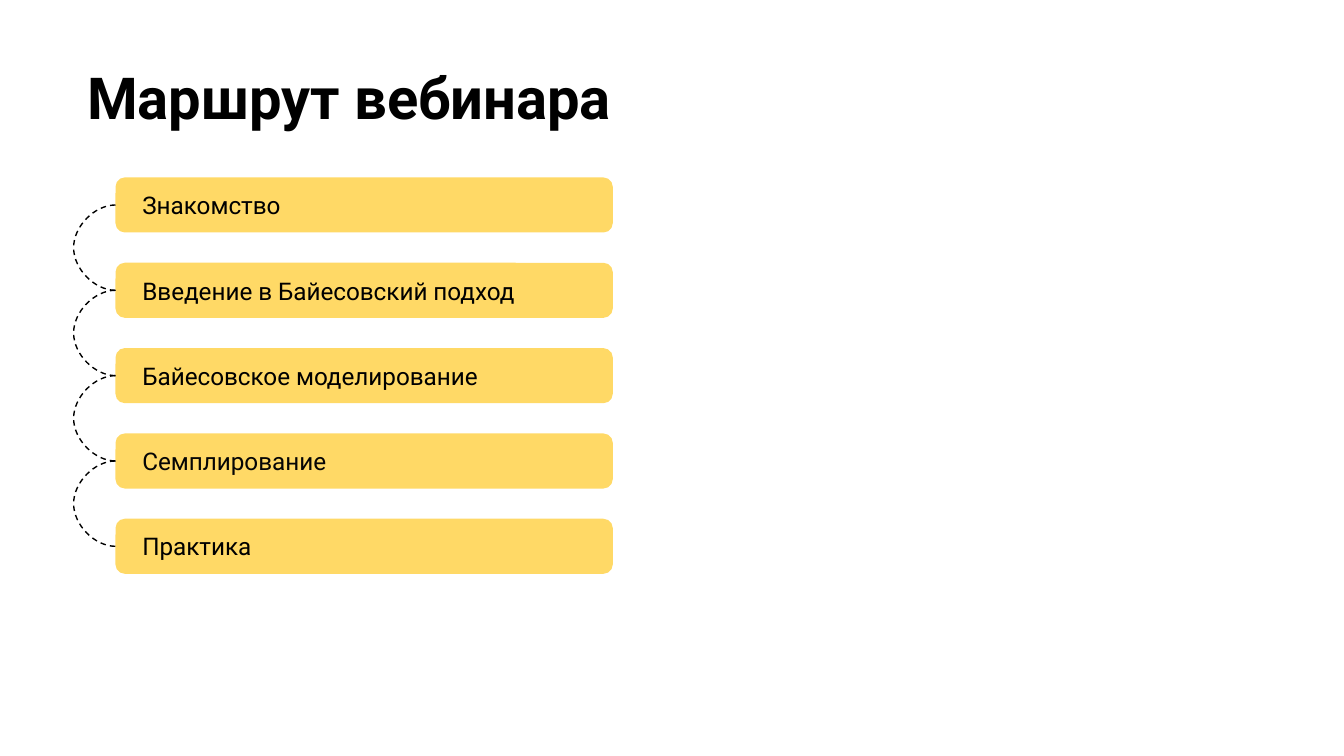
import itertools

import lxml.etree
import pptx
import pptx.dml.color
import pptx.enum.dml
import pptx.enum.shapes
import pptx.enum.text
import pptx.oxml.ns
import pptx.util

Inches = pptx.util.Inches
Color = pptx.dml.color.RGBColor.from_string
qn = pptx.oxml.ns.qn

THEME = {
    "font": "Roboto",
    "ink": "000000",
    "soft_ink": "050505",
    "bar": "FFD966",
    "title_size": 31,
    "step_size": 13,
    "line_width": 0.75,
}

STEPS = [
    ("Знакомство", "ink"),
    ("Введение в Байесовский подход", "ink"),
    ("Байесовское моделирование", "ink"),
    ("Семплирование", "soft_ink"),
    ("Практика", "ink"),
]

SLIDE_WIDTH = Inches(10)
COLUMN_LEFT, COLUMN_WIDTH = Inches(0.86), Inches(3.7)
FIRST_ROW, LAST_ROW, ROW_HEIGHT = Inches(1.32), Inches(3.86), Inches(0.41)
ROW_PITCH = (LAST_ROW - FIRST_ROW) // (len(STEPS) - 1)
ARC_DEPTH = Inches(0.26)
ARC_WIDTH = pptx.util.Emu(600)


def write(shape, text, size, color, side_inset, bold=False):
    frame = shape.text_frame
    frame.word_wrap = True
    frame.margin_left = frame.margin_right = Inches(side_inset)
    frame.margin_top = frame.margin_bottom = Inches(0.1)
    frame.text = text
    para = frame.paragraphs[0]
    para.alignment = pptx.enum.text.PP_ALIGN.LEFT
    font = para.runs[0].font
    font.name = THEME["font"]
    font.size = pptx.util.Pt(THEME[size])
    font.bold = bold
    font.color.rgb = Color(THEME[color])


deck = pptx.Presentation()
deck.slide_width = SLIDE_WIDTH
deck.slide_height = SLIDE_WIDTH * 9 // 16
page = deck.slides.add_slide(deck.slide_layouts[6])

title = page.shapes.add_textbox(Inches(0.55), Inches(0.36), Inches(9.32), Inches(1.2))
write(title, "Маршрут вебинара", "title_size", "ink", 0.1, bold=True)

bars = []
for row, (step, color) in enumerate(STEPS):
    bar = page.shapes.add_shape(
        pptx.enum.shapes.MSO_SHAPE.ROUNDED_RECTANGLE,
        COLUMN_LEFT,
        FIRST_ROW + row * ROW_PITCH,
        COLUMN_WIDTH,
        ROW_HEIGHT,
    )
    bar.adjustments[0] = 0.17
    bar.shadow.inherit = False
    bar.fill.solid()
    bar.fill.fore_color.rgb = Color(THEME["bar"])
    bar.line.fill.background()
    bar.text_frame.vertical_anchor = pptx.enum.text.MSO_ANCHOR.MIDDLE
    write(bar, step, "step_size", color, 0.18)
    bars.append(bar)

for upper, lower in itertools.pairwise(bars):
    arc = page.shapes.add_connector(
        pptx.enum.shapes.MSO_CONNECTOR.CURVE,
        COLUMN_LEFT,
        upper.top + ROW_HEIGHT // 2,
        COLUMN_LEFT,
        lower.top + ROW_HEIGHT // 2,
    )
    arc.begin_connect(upper, 1)
    arc.end_connect(lower, 1)
    arc.width = ARC_WIDTH
    arc.line.color.rgb = Color(THEME["ink"])
    arc.line.width = pptx.util.Pt(THEME["line_width"])
    arc.line.dash_style = pptx.enum.dml.MSO_LINE.DASH
    properties = arc.element.spPr
    lxml.etree.SubElement(properties, qn("a:effectLst"))
    guides = properties.find(qn("a:prstGeom")).find(qn("a:avLst"))
    bend = -round(ARC_DEPTH / ARC_WIDTH * 100000)
    lxml.etree.SubElement(guides, qn("a:gd"), name="adj1", fmla=f"val {bend}")

deck.save("out.pptx")
